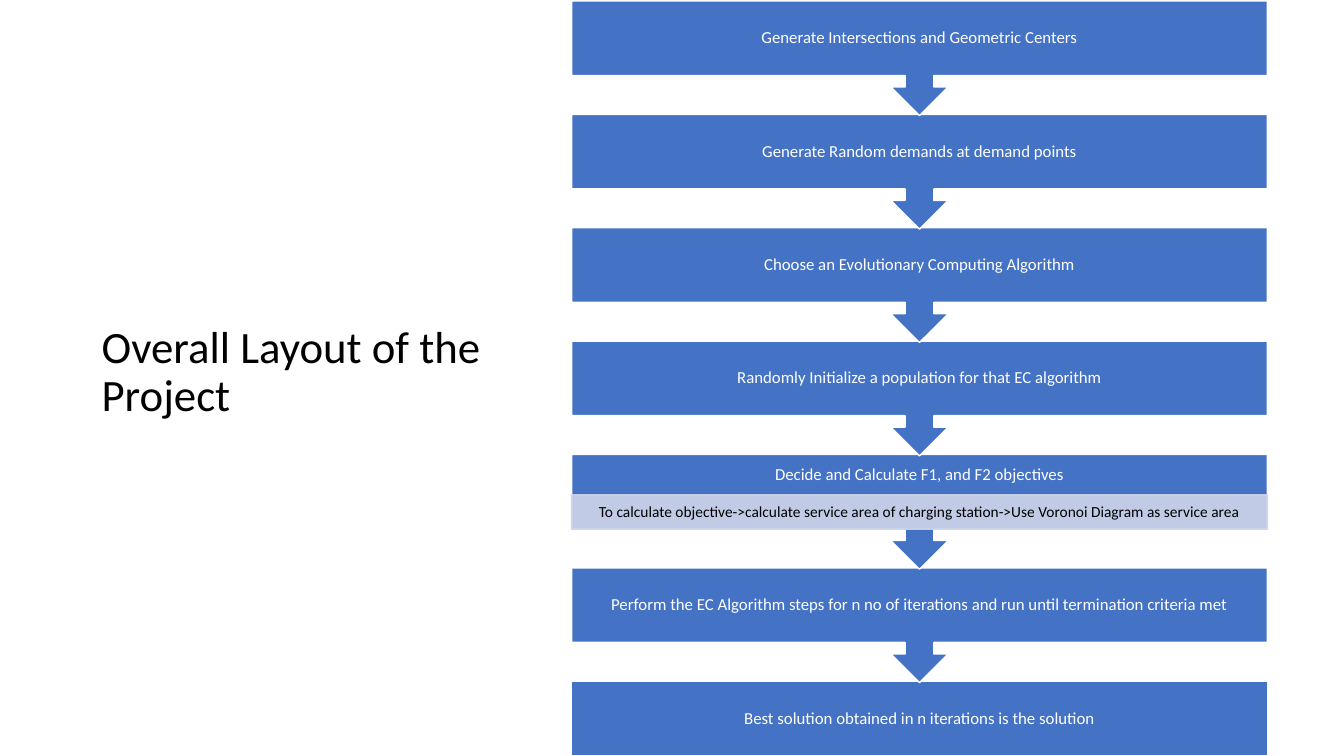
from lxml.etree import SubElement
from pptx import Presentation
from pptx.dml.color import RGBColor
from pptx.enum.shapes import MSO_SHAPE
from pptx.enum.text import MSO_ANCHOR, PP_ALIGN
from pptx.oxml.ns import qn
from pptx.util import Inches, Pt

BLUE = RGBColor(0x44, 0x72, 0xC4)
PALE = RGBColor(0xCF, 0xD5, 0xEA)
WHITE = RGBColor(0xFF, 0xFF, 0xFF)
BLACK = RGBColor(0, 0, 0)

STEPS = [
    ("Generate Intersections and Geometric Centers", None),
    ("Generate Random demands at demand points", None),
    ("Choose an Evolutionary Computing Algorithm", None),
    ("Randomly Initialize a population for that EC algorithm", None),
    ("Decide and Calculate F1, and F2 objectives",
     "To calculate objective->calculate service area of charging station"
     "->Use Voronoi Diagram as service area"),
    ("Perform the EC Algorithm steps for n no of iterations and run until termination criteria met", None),
    ("Best solution obtained in n iterations is the solution", None),
]


def write(shape, text, size, color, align, anchor):
    frame = shape.text_frame
    frame.word_wrap = True
    frame.vertical_anchor = anchor
    frame.text = text
    para = frame.paragraphs[0]
    para.alignment = align
    para.line_spacing = 0.9
    font = para.runs[0].font
    font.name = "Calibri"
    font.size = Pt(size)
    font.color.rgb = color


def add_block(page, kind, box, fill, line, text, size, color, margin):
    block = page.shapes.add_shape(kind, *map(Inches, box))
    block.shadow.inherit = False
    block.fill.solid()
    block.fill.fore_color.rgb = fill
    block.line.color.rgb = line
    block.line.width = Pt(1)
    write(block, text, size, color, PP_ALIGN.CENTER, MSO_ANCHOR.MIDDLE)
    frame = block.text_frame
    frame.margin_left = frame.margin_right = Inches(0.09)
    frame.margin_top = frame.margin_bottom = Inches(margin)
    return block


def add_title(page, box):
    title = page.shapes.add_textbox(*map(Inches, box))
    write(title, "Overall Layout of the Project", 32, BLACK, PP_ALIGN.LEFT, MSO_ANCHOR.BOTTOM)


def add_detail(page, box, text):
    bar = add_block(page, MSO_SHAPE.RECTANGLE, box, PALE, PALE, text, 11, BLACK, 0.02)
    for color in bar.element.spPr.iter(qn("a:srgbClr")):
        SubElement(color, qn("a:alpha")).set("val", "90000")


def add_process(page, box):
    left, top, width, height = box
    block_height = height * 0.099
    callout_height = height * 0.152
    detail_height = block_height * 0.46
    pitch = (height - block_height) / (len(STEPS) - 1)
    for index, (text, detail) in reversed(list(enumerate(STEPS))):
        step_top = top + index * pitch
        is_last = index == len(STEPS) - 1
        kind = MSO_SHAPE.RECTANGLE if is_last else MSO_SHAPE.DOWN_ARROW_CALLOUT
        step_height = block_height if is_last else callout_height
        block = add_block(page, kind, (left, step_top, width, step_height),
                          BLUE, WHITE, text, 12, WHITE, 0.09)
        if detail:
            block.text_frame.margin_bottom = Inches(0.09 + detail_height)
            detail_top = step_top + block_height - detail_height
            add_detail(page, (left, detail_top, width, detail_height), detail)


def main():
    deck = Presentation()
    deck.slide_width = Inches(13.33)
    deck.slide_height = Inches(7.5)
    page = deck.slides.add_slide(deck.slide_layouts[6])
    add_title(page, (0.91, 2.48, 4.3, 1.75))
    add_process(page, (5.67, 0.01, 6.9, 7.49))
    deck.save("out.pptx")


if __name__ == "__main__":
    main()
